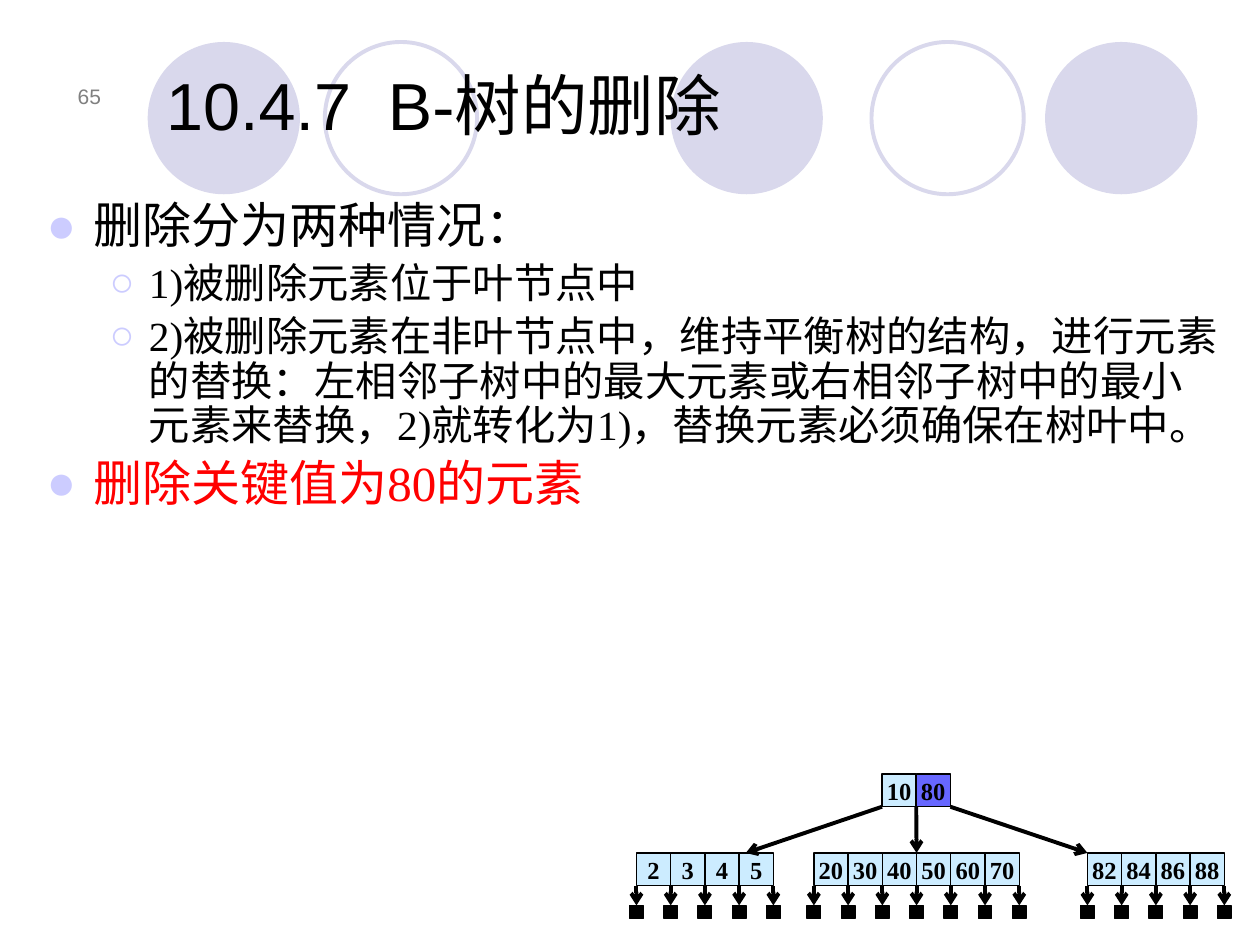
from dataclasses import dataclass

from lxml.etree import SubElement
from pptx import Presentation
from pptx.dml.color import RGBColor
from pptx.enum.shapes import MSO_CONNECTOR as Connector, MSO_SHAPE as Shape
from pptx.enum.text import MSO_ANCHOR as Anchor, MSO_AUTO_SIZE as AutoSize, PP_ALIGN as Align
from pptx.oxml.ns import qn
from pptx.util import Pt


@dataclass(frozen=True)
class Theme:
    circle: str = "D9D8EC"
    bullet: str = "CCCCFF"
    cell: str = "CCECFF"
    target: str = "6767FF"
    ink: str = "000000"
    accent: str = "FF0000"
    muted: str = "808080"
    heading_font: str = "Arial"
    text_font: str = "Times New Roman"
    title_size: float = 38
    item_size: float = 28
    subitem_size: float = 23.6
    key_size: float = 14
    number_size: float = 12
    thin: float = 0.75
    thick: float = 2.25


THEME = Theme()
KEY_WIDTH, KEY_HEIGHT = 19.56, 18.8
ROOT_LEFT, ROOT_TOP, LEAF_TOP, NULL_TOP = 504, 442.2, 487.4, 517.4
NULL_WIDTH, NULL_HEIGHT = 7.8, 7.4
CIRCLE_SIZE, CIRCLE_TOP = 87, 24
CIRCLES = [(84.4, True), (185.6, False), (383.2, True), (498, False), (597.2, True)]
ROOT_KEYS = ["10", "80"]
LEAVES = [
    (363.7, ["2", "3", "4", "5"], 62.5),
    (465.1, ["20", "30", "40", "50", "60", "70"], 3 * KEY_WIDTH),
    (621.4, ["82", "84", "86", "88"], 0),
]
ITEMS = [
    (0, "删除分为两种情况：", THEME.ink),
    (1, "1)被删除元素位于叶节点中", THEME.ink),
    (1, "2)被删除元素在非叶节点中，维持平衡树的结构，进行元素的替换："
        "左相邻子树中的最大元素或右相邻子树中的最小元素来替换，"
        "2)就转化为1)，替换元素必须确保在树叶中。", THEME.ink),
    (0, "删除关键值为80的元素", THEME.accent),
]


def rgb(code):
    """Turn a hex code into a colour."""
    return RGBColor.from_string(code)


def write(paragraph, words, *, size, font=THEME.text_font, color=THEME.ink,
          bold=False, align=Align.LEFT):
    """Put formatted words in a paragraph."""
    paragraph.alignment = align
    run = paragraph.add_run()
    run.text = words
    run.font.size = Pt(size)
    run.font.name = font
    run.font.bold = bold
    run.font.color.rgb = rgb(color)


def place(item, left, top, width, height):
    """Position an element, in points."""
    item.left, item.top, item.width, item.height = map(Pt, (left, top, width, height))


def add_figure(slide, kind, left, top, width, height, fill=None, line=None, weight=THEME.thin):
    """Add a preset shape with an optional fill and outline."""
    figure = slide.shapes.add_shape(kind, Pt(left), Pt(top), Pt(width), Pt(height))
    figure.shadow.inherit = False
    if fill:
        figure.fill.solid()
        figure.fill.fore_color.rgb = rgb(fill)
    else:
        figure.fill.background()
    if line:
        figure.line.color.rgb = rgb(line)
        figure.line.width = Pt(weight)
    else:
        figure.line.fill.background()
    return figure


def add_pointer(slide, x1, y1, x2, y2):
    """Draw an arrow from a parent to its child."""
    pointer = slide.shapes.add_connector(Connector.STRAIGHT, Pt(x1), Pt(y1), Pt(x2), Pt(y2))
    pointer.line.color.rgb = rgb(THEME.ink)
    pointer.line.width = Pt(THEME.thick)
    SubElement(pointer.line._get_or_add_ln(), qn("a:tailEnd"), type="arrow")
    SubElement(pointer._element.spPr, qn("a:effectLst"))


def add_node(slide, left, top, keys):
    """Draw a tree node as a row of key cells."""
    for index, key in enumerate(keys):
        fill = THEME.target if key == "80" else THEME.cell
        cell = add_figure(slide, Shape.RECTANGLE, left + index * KEY_WIDTH, top,
                          KEY_WIDTH, KEY_HEIGHT, fill, THEME.ink)
        frame = cell.text_frame
        frame.word_wrap = False
        frame.vertical_anchor = Anchor.MIDDLE
        write(frame.paragraphs[0], key, size=THEME.key_size, bold=True, align=Align.CENTER)


def add_null_children(slide, left, count):
    """Hang black end nodes below the borders of a leaf."""
    for index in range(count):
        x = left + index * KEY_WIDTH
        add_figure(slide, Shape.RECTANGLE, x - NULL_WIDTH / 2, NULL_TOP,
                   NULL_WIDTH, NULL_HEIGHT, THEME.ink, THEME.ink)
        add_pointer(slide, x, LEAF_TOP + KEY_HEIGHT, x, NULL_TOP)


def add_tree(slide):
    """Draw the root, its leaves and their end nodes."""
    add_node(slide, ROOT_LEFT, ROOT_TOP, ROOT_KEYS)
    for child, (left, keys, entry) in enumerate(LEAVES):
        add_node(slide, left, LEAF_TOP, keys)
        add_pointer(slide, ROOT_LEFT + child * KEY_WIDTH, ROOT_TOP + KEY_HEIGHT,
                    left + entry, LEAF_TOP)
        add_null_children(slide, left, len(keys) + 1)


def add_circles(slide):
    """Draw the band of circles behind the title."""
    for left, filled in CIRCLES:
        colors = {"fill": THEME.circle} if filled else {"line": THEME.circle}
        add_figure(slide, Shape.OVAL, left, CIRCLE_TOP, CIRCLE_SIZE, CIRCLE_SIZE,
                   weight=THEME.thick, **colors)


def add_page_number(slide):
    """Write the page number left of the title."""
    frame = slide.shapes.add_textbox(Pt(25.2), Pt(31.7), Pt(39.6), Pt(33.8)).text_frame
    frame.word_wrap = True
    frame.vertical_anchor = Anchor.BOTTOM
    write(frame.paragraphs[0], "65", size=THEME.number_size, font=THEME.heading_font,
          color=THEME.muted, align=Align.RIGHT)


def fill_title(title):
    """Place and write the title."""
    place(title, 87.8, 20.2, 589.7, 65.5)
    frame = title.text_frame
    frame.auto_size = AutoSize.NONE
    frame.vertical_anchor = Anchor.BOTTOM
    write(frame.paragraphs[0], "10.4.7  B-树的删除", size=THEME.title_size,
          font=THEME.heading_font)


def set_bullet(paragraph, mark, margin, hanging):
    """Give a paragraph a coloured bullet and a hanging indent."""
    properties = paragraph._p.get_or_add_pPr()
    properties.set("marL", str(Pt(margin)))
    properties.set("indent", str(Pt(-hanging)))
    color = SubElement(properties, qn("a:buClr"))
    SubElement(color, qn("a:srgbClr"), val=THEME.bullet)
    SubElement(properties, qn("a:buFont"), typeface=THEME.heading_font)
    SubElement(properties, qn("a:buChar"), char=mark)


def fill_body(body):
    """Place the list and write its items."""
    place(body, 19.4, 111.6, 686.2, 357.1)
    frame = body.text_frame
    frame.auto_size = AutoSize.NONE
    for index, (level, words, color) in enumerate(ITEMS):
        paragraph = frame.add_paragraph() if index else frame.paragraphs[0]
        size = THEME.subitem_size if level else THEME.item_size
        paragraph.level = level
        paragraph.line_spacing = 0.9
        paragraph.space_before = Pt(round(size * 0.2, 1))
        write(paragraph, words, size=size, color=color)
        set_bullet(paragraph, *(("○", 58.5, 22.5) if level else ("●", 27, 27)))


def main():
    """Build the slide and save it."""
    deck = Presentation()
    deck.slide_width, deck.slide_height = Pt(720), Pt(540)
    slide = deck.slides.add_slide(deck.slide_layouts[1])
    title, body = slide.placeholders
    add_circles(slide)
    for placeholder in (title, body):
        slide.shapes._spTree.append(placeholder._element)
    fill_title(title)
    fill_body(body)
    add_page_number(slide)
    add_tree(slide)
    deck.save("out.pptx")


if __name__ == "__main__":
    main()
